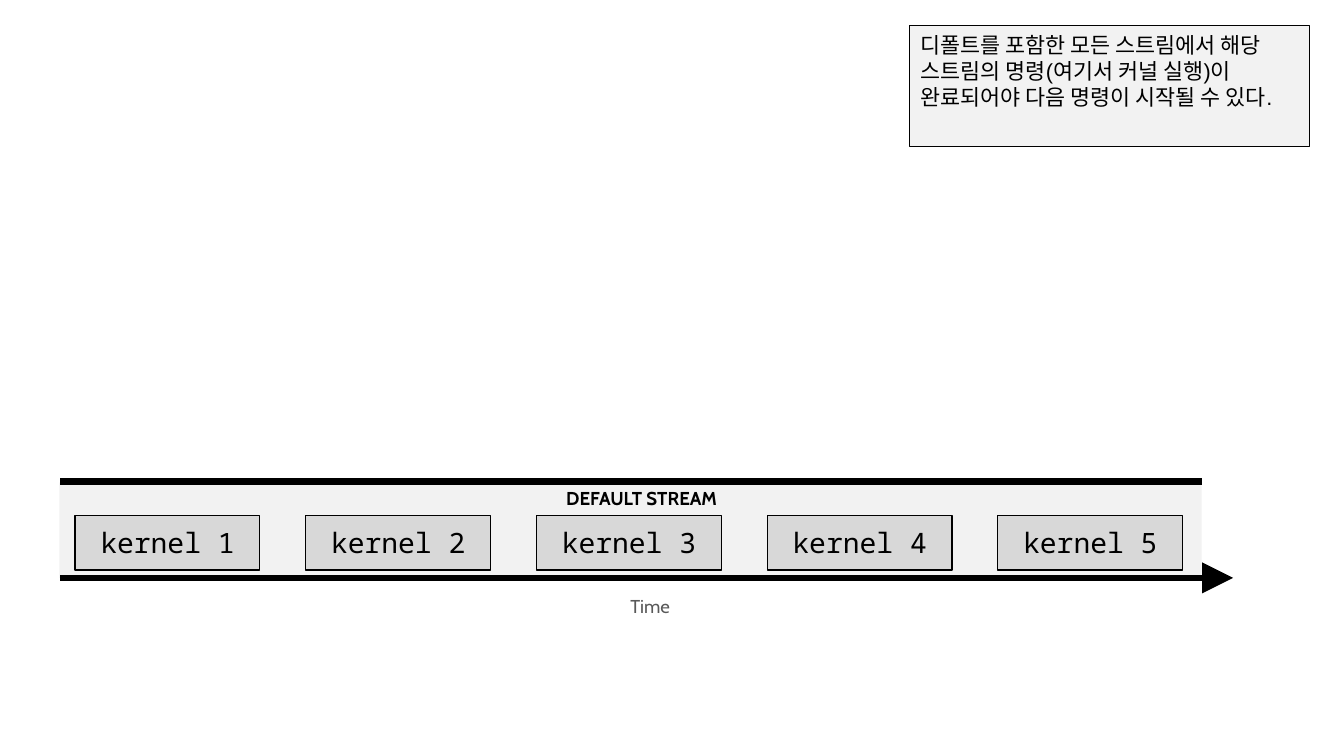
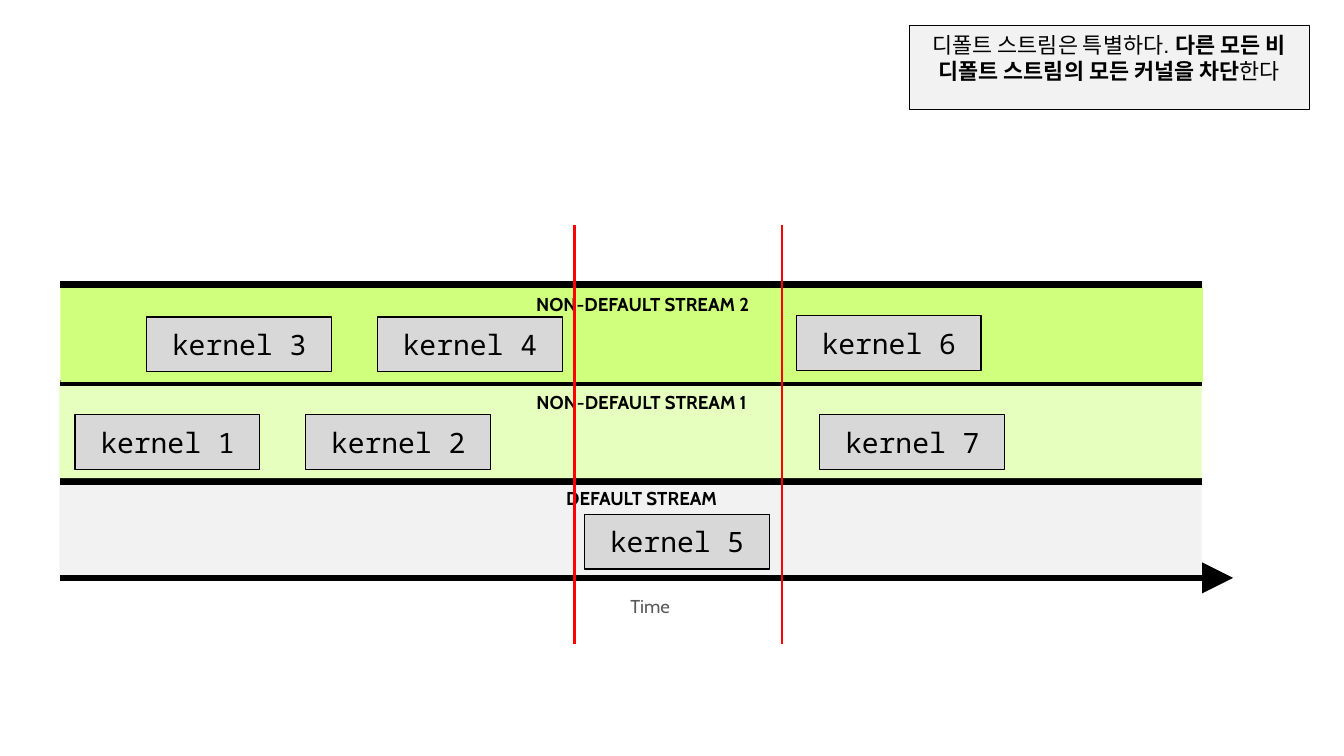
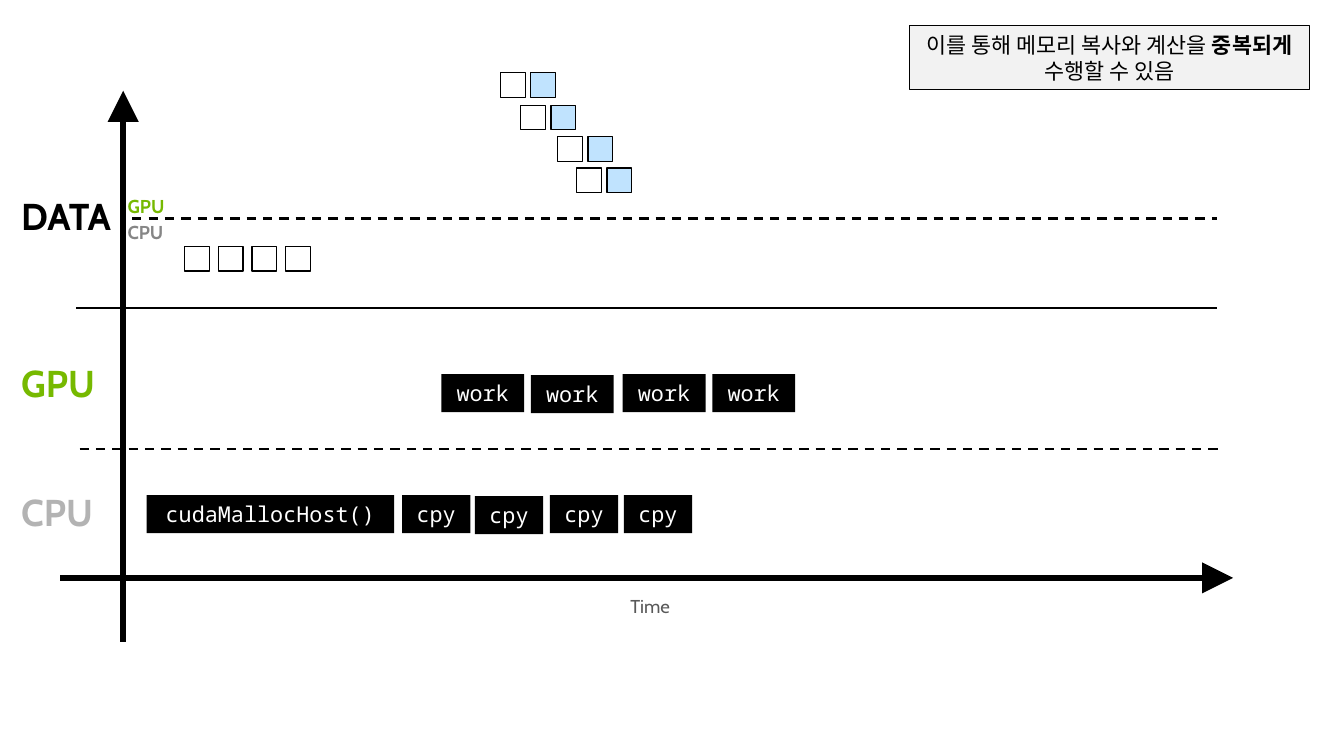
from lxml.etree import SubElement
from pptx import Presentation
from pptx.dml.color import RGBColor
from pptx.enum.dml import MSO_LINE
from pptx.enum.shapes import MSO_CONNECTOR, MSO_SHAPE
from pptx.enum.text import MSO_ANCHOR as ANCHOR, MSO_AUTO_SIZE, PP_ALIGN as ALIGN
from pptx.oxml.ns import qn
from pptx.util import Inches, Pt

BLACK = RGBColor(0x00, 0x00, 0x00)
WHITE = RGBColor(0xFF, 0xFF, 0xFF)
RED = RGBColor(0xFF, 0x00, 0x00)
PALE = RGBColor(0xF2, 0xF2, 0xF2)
GRAY = RGBColor(0xD8, 0xD8, 0xD8)
TIME_GRAY = RGBColor(0x59, 0x59, 0x59)
CPU_GRAY = RGBColor(0xB3, 0xB3, 0xB3)
DATA_GRAY = RGBColor(0x86, 0x86, 0x86)
GREEN = RGBColor(0x76, 0xB9, 0x00)
LIME = RGBColor(0xCF, 0xFF, 0x7D)
LIGHT_LIME = RGBColor(0xE6, 0xFF, 0xBE)
BLUE = RGBColor(0xC0, 0xE3, 0xFE)

# Shared text formats
LABEL = dict(font="Cabin", bold=True, anchor=ANCHOR.BOTTOM, spacing=0.9)
NOTE = dict(font="Arial", size=14, fill=PALE, outline=BLACK, anchor=ANCHOR.TOP)
KERNEL = dict(font="Noto Sans Mono", size=18, fill=GRAY, outline=BLACK)
CALL = dict(font="Noto Sans Mono", size=14, fill=BLACK, color=WHITE)


def add_box(s, at, text="", font="Cabin", size=12, color=BLACK, bold=False,
            align=ALIGN.CENTER, anchor=ANCHOR.MIDDLE, spacing=None,
            fill=None, outline=None, sp=None):
    """Place a box or label; parts of the text between ** are bold."""
    at = [Inches(v) for v in at]
    if sp is not None:
        sp.left, sp.top, sp.width, sp.height = at
    elif fill is None and outline is None:
        sp = s.shapes.add_textbox(*at)
    else:
        sp = s.shapes.add_shape(MSO_SHAPE.RECTANGLE, *at)
        sp.shadow.inherit = False
        if fill is None:
            sp.fill.background()
        else:
            sp.fill.solid()
            sp.fill.fore_color.rgb = fill
        if outline is None:
            sp.line.fill.background()
        else:
            sp.line.color.rgb = outline
            sp.line.width = Pt(0.75)
    if text:
        tf = sp.text_frame
        tf.word_wrap = True
        tf.auto_size = MSO_AUTO_SIZE.NONE
        tf.vertical_anchor = anchor
        p = tf.paragraphs[0]
        p.alignment = align
        p.line_spacing = spacing
        for i, part in enumerate(text.split("**")):
            r = p.add_run()
            r.text = part
            r.font.name = font
            r.font.size = Pt(size)
            r.font.bold = bold or i % 2 == 1
            r.font.color.rgb = color
    return sp


def add_line(s, x1, y1, x2, y2, width=4, color=BLACK, dash=False, arrow=False):
    cx = s.shapes.add_connector(MSO_CONNECTOR.STRAIGHT, *[Inches(v) for v in (x1, y1, x2, y2)])
    cx.line.color.rgb = color
    cx.line.width = Pt(width)
    if dash:
        cx.line.dash_style = MSO_LINE.DASH
    spPr = cx.element.spPr
    if arrow:
        SubElement(spPr.find(qn("a:ln")), qn("a:tailEnd"), type="triangle", w="lg", len="lg")
    SubElement(spPr, qn("a:effectLst"))


prs = Presentation()
prs.slide_width, prs.slide_height = Inches(12), Inches(6.75)
title_only, blank = prs.slide_layouts[5], prs.slide_layouts[6]
slides = [prs.slides.add_slide(layout) for layout in (blank, title_only, blank)]

# Stream bands: left, top, fill, rule height, label, label box
default = (0.53, 4.31, PALE, 4.3, "DEFAULT STREAM", (4.91, 4.33, 1.64, 0.27))
stream1 = (0.53, 3.42, LIGHT_LIME, 3.42, "NON-DEFAULT STREAM 1", (4.6, 3.47, 2.26, 0.27))
stream2 = (0.54, 2.56, LIME, 2.54, "NON-DEFAULT STREAM 2", (4.61, 2.6, 2.26, 0.27))
for s, streams in zip(slides, ([default], [default, stream1, stream2])):
    for left, top, fill, rule_y, label, label_at in streams:
        add_box(s, (left, top, 10.2, 0.85), fill=fill)
        add_line(s, 0.54, rule_y, 10.73, rule_y)
        title = s.shapes.title if label == "DEFAULT STREAM" else None
        if title is not None:
            s.shapes.element.append(title.element)  # bring in front of its band
        add_box(s, label_at, label, sp=title, **LABEL)

# Time axis on every slide
for s in slides:
    add_line(s, 0.54, 5.16, 11.01, 5.16, arrow=True)
    add_box(s, (5.51, 5.26, 0.59, 0.3), "Time", color=TIME_GRAY,
            anchor=ANCHOR.BOTTOM, spacing=0.9)

# Kernels: number, left, top
in_order = [(i + 1, 0.67 + 2.06 * i, 4.6) for i in range(5)]
blocked = [(1, 0.67, 3.7), (2, 2.73, 3.7), (3, 1.31, 2.83), (4, 3.37, 2.83),
           (5, 5.22, 4.59), (7, 7.32, 3.7), (6, 7.11, 2.82)]
for s, kernels in zip(slides, (in_order, blocked)):
    for number, x, y in kernels:
        add_box(s, (x, y, 1.65, 0.49), f"kernel {number}", **KERNEL)

# Slide 2: limits of the blocking kernel
for x in (5.13, 6.98):
    add_line(slides[1], x, 2.01, x, 5.75, width=1.5, color=RED)

# Slide 3: axis, lane separators and lane names
s = slides[2]
add_line(s, 1.1, 5.73, 1.1, 0.81, arrow=True)
for x1, x2, y, dash in ((0.71, 10.9, 4.01, True), (0.68, 10.87, 2.75, False),
                        (1.18, 10.87, 1.95, True)):
    add_line(s, x1, y, x2, y, width=1.5, dash=dash)
for name, at, size, color in (
        ("DATA", (0.09, 1.72, 1.1, 0.46), 24, BLACK),
        ("GPU", (0.09, 3.21, 0.97, 0.46), 24, GREEN),
        ("CPU", (0.09, 4.36, 0.97, 0.46), 24, CPU_GRAY),
        ("GPU", (1.04, 1.71, 0.55, 0.28), 12, GREEN),
        ("CPU", (1.04, 1.94, 0.55, 0.28), 12, DATA_GRAY)):
    add_box(s, at, name, size=size, color=color, align=ALIGN.LEFT, **LABEL)

# Slide 3: data blocks on the CPU, then copied and processed on the GPU
for i in range(4):
    add_box(s, (1.65 + 0.3 * i, 2.2, 0.22, 0.22), outline=BLACK)
for x, y in ((4.47, 0.65), (4.65, 0.94), (4.98, 1.22), (5.15, 1.5)):
    add_box(s, (x, y, 0.22, 0.22), outline=BLACK)
    add_box(s, (x + 0.27, y, 0.22, 0.22), fill=BLUE, outline=BLACK)

# Slide 3: calls in the CPU and GPU lanes
add_box(s, (1.31, 4.42, 2.21, 0.34), "cudaMallocHost()", **CALL)
for x, y in ((3.59, 4.42), (4.24, 4.43), (4.91, 4.42), (5.57, 4.42)):
    add_box(s, (x, y, 0.61, 0.34), "cpy", **CALL)
for x, y in ((3.94, 3.34), (4.74, 3.35), (5.56, 3.34), (6.36, 3.34)):
    add_box(s, (x, y, 0.74, 0.34), "work", **CALL)

# Notes in the top right corner
notes = (
    (1.08, ALIGN.LEFT, "디폴트를 포함한 모든 스트림에서 해당 스트림의 명령(여기서 커널 실행)이 "
                       "완료되어야 다음 명령이 시작될 수 있다."),
    (0.75, ALIGN.CENTER, "디폴트 스트림은 특별하다. **다른 모든 비 디폴트 스트림의 모든 커널을 차단**한다"),
    (0.57, ALIGN.CENTER, "이를 통해 메모리 복사와 계산을 **중복되게** 수행할 수 있음"),
)
for s, (height, align, text) in zip(slides, notes):
    add_box(s, (8.12, 0.23, 3.57, height), text, align=align, **NOTE)

prs.save("out.pptx")
